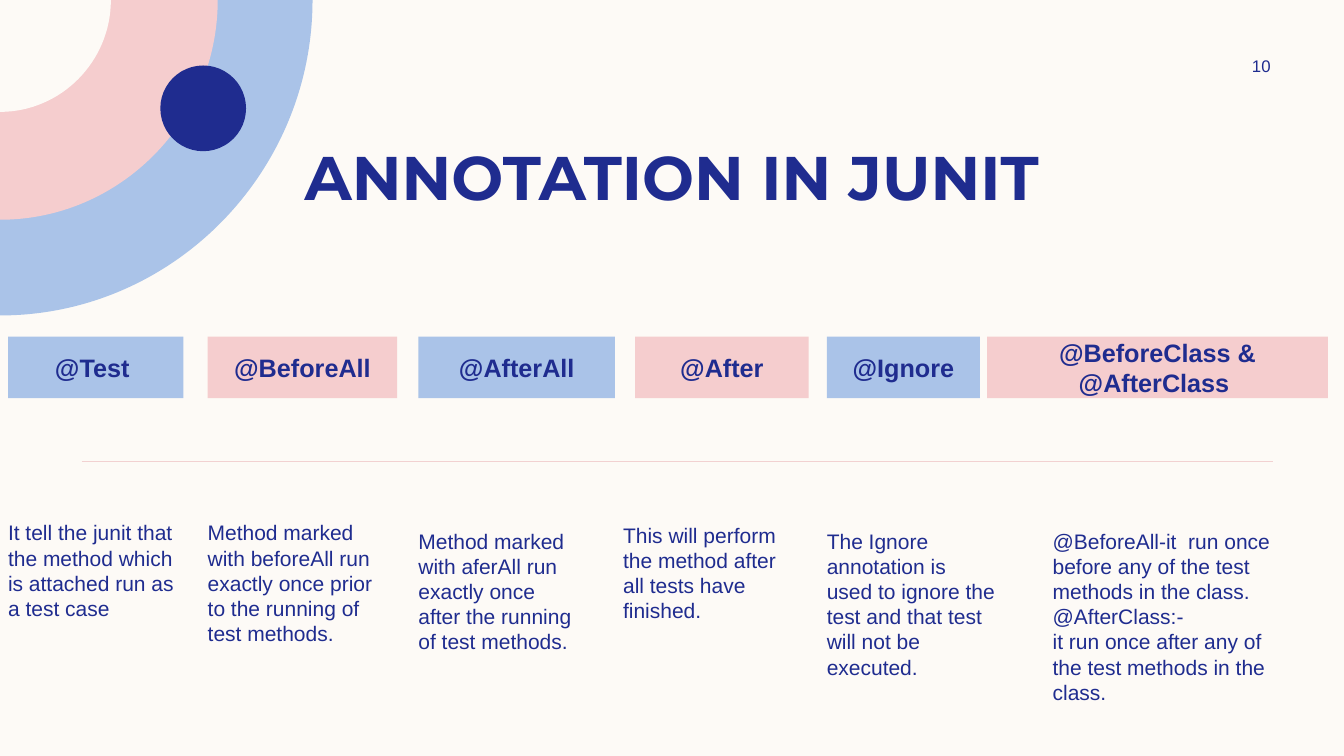
from lxml.etree import SubElement
from pptx import Presentation
from pptx.dml.color import RGBColor
from pptx.enum.shapes import MSO_CONNECTOR as Connector, MSO_SHAPE as Shape
from pptx.enum.text import MSO_ANCHOR as Anchor, PP_ALIGN as Align
from pptx.oxml.ns import qn
from pptx.util import Inches, Pt

CREAM, BLUE, PINK, NAVY, RULE = "FDFAF6", "AAC3E8", "F5CDCE", "1F2C8F", "F2D1D1"
WIDTH, HEIGHT = 13.33, 7.5
TAG_TOP, TAG_HEIGHT = 3.34, 0.61
ARC_PULL = 0.55

TITLE = "ANNOTATION IN JUNIT"
PAGE_NUMBER = "10"
ARCS = [(3.1, 3.13, BLUE), (2.16, 2.18, PINK), (1.1, 1.11, CREAM)]
ANNOTATIONS = [
    ("@Test ", (0.08, 1.74), (0.08, 5.11, 1.74, 1.94),
     ["It tell the junit that the method which is attached run as a test case"]),
    ("@BeforeAll", (2.06, 1.88), (2.06, 5.11, 1.72, 1.94),
     ["Method marked with beforeAll run exactly once prior to the running of test methods."]),
    ("@AfterAll", (4.15, 1.95), (4.15, 5.19, 1.58, 1.87),
     ["Method marked with aferAll run exactly once after the running of test methods."]),
    ("@After", (6.3, 1.72), (6.18, 5.13, 1.65, 1.93),
     ["This will perform the method after all tests have finished."]),
    ("@Ignore", (8.2, 1.52), (8.2, 5.19, 1.68, 1.87),
     ["The Ignore annotation is used to ignore the test and that test will not be executed."]),
    ("@BeforeClass & @AfterClass ", (9.79, 3.38), (10.44, 5.19, 2.29, 1.73),
     ["@BeforeAll-it  run once before any of the test methods in the class.",
      "@AfterClass:-",
      "it run once after any of the test methods in the class."]),
]


def color(value):
    return RGBColor.from_string(value)


def paint(shape, fill):
    shape.shadow.inherit = False
    shape.fill.solid()
    shape.fill.fore_color.rgb = color(fill)
    shape.line.fill.background()


def write(shape, lines, size, font="Arial", bold=False, align=Align.CENTER,
          anchor=Anchor.MIDDLE, side=0, edge=0, spacing=None):
    frame = shape.text_frame
    frame.word_wrap = True
    frame.vertical_anchor = anchor
    frame.margin_left = frame.margin_right = Inches(side)
    frame.margin_top = frame.margin_bottom = Inches(edge)
    frame.text = "\n".join(lines)
    for para in frame.paragraphs:
        para.alignment = align
        para.line_spacing = spacing
        para.font.name = font
        para.font.size = Pt(size)
        para.font.bold = bold
        para.font.color.rgb = color(NAVY)


def add_box(page, left, top, width, height):
    return page.shapes.add_textbox(*map(Inches, (left, top, width, height)))


def add_preset(page, kind, left, top, width, height, fill):
    shape = page.shapes.add_shape(kind, *map(Inches, (left, top, width, height)))
    paint(shape, fill)
    return shape


def add_quarter_disc(page, width, height, fill):
    builder = page.shapes.build_freeform(0, 0)
    corners = [(Inches(width), 0), (0, Inches(height))]
    builder.add_line_segments(corners, close=True)
    disc = builder.convert_to_shape()
    edge = disc.element.findall(".//" + qn("a:lnTo"))[1]
    curve = SubElement(edge.getparent(), qn("a:cubicBezTo"))
    edge.getparent().replace(edge, curve)
    for x, y in [(width, height * ARC_PULL), (width * ARC_PULL, height), (0, height)]:
        SubElement(curve, qn("a:pt"), x=str(Inches(x)), y=str(Inches(y)))
    paint(disc, fill)


def add_rule(page, left, right, top):
    rule = page.shapes.add_connector(
        Connector.STRAIGHT, *map(Inches, (left, top, right, top)))
    rule.line.color.rgb = color(RULE)
    rule.line.width = Pt(1)
    SubElement(rule.element.spPr, qn("a:effectLst"))


def main():
    deck = Presentation()
    deck.slide_width, deck.slide_height = Inches(WIDTH), Inches(HEIGHT)
    page = deck.slides.add_slide(deck.slide_layouts[6])
    page.background.fill.solid()
    page.background.fill.fore_color.rgb = color(CREAM)

    for width, height, fill in ARCS:
        add_quarter_disc(page, width, height, fill)
    add_preset(page, Shape.OVAL, 1.59, 0.65, 0.85, 0.85, NAVY)
    add_rule(page, 0.81, 12.63, 4.58)

    title = add_box(page, 0.83, 1.33, 11.67, 0.84)
    write(title, [TITLE], 44, "Montserrat", bold=True, anchor=Anchor.TOP,
          side=0.1, edge=0.05)
    number = add_box(page, 11.97, 0.5, 1.08, 0.3)
    write(number, [PAGE_NUMBER], 12, side=0.1, edge=0.05)

    for index, (name, (left, width), note_place, lines) in enumerate(ANNOTATIONS):
        fill = (BLUE, PINK)[index % 2]
        tag = add_preset(page, Shape.RECTANGLE, left, TAG_TOP, width, TAG_HEIGHT, fill)
        write(tag, [name], 18, bold=True)
        note = add_box(page, *note_place)
        write(note, lines, 15, align=Align.LEFT, anchor=Anchor.TOP,
              edge=0.05, spacing=Pt(18))

    deck.save("out.pptx")


if __name__ == "__main__":
    main()
